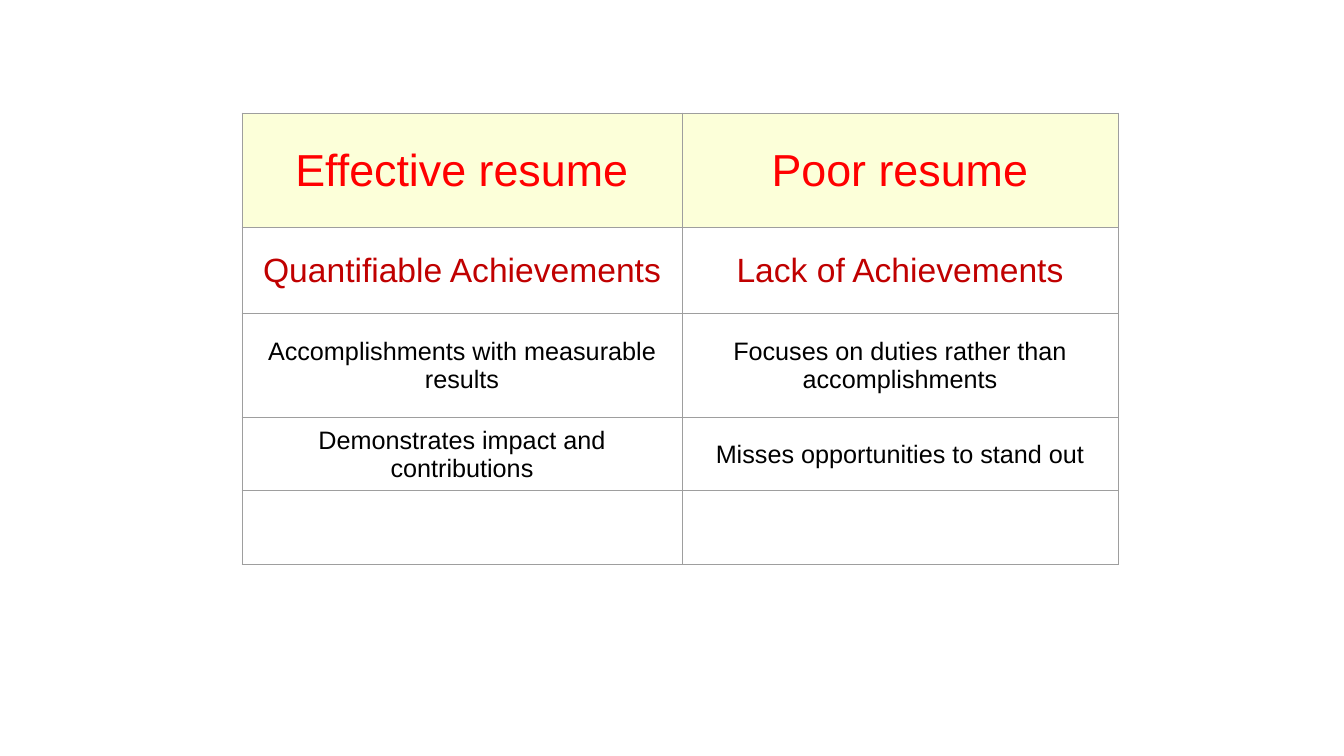
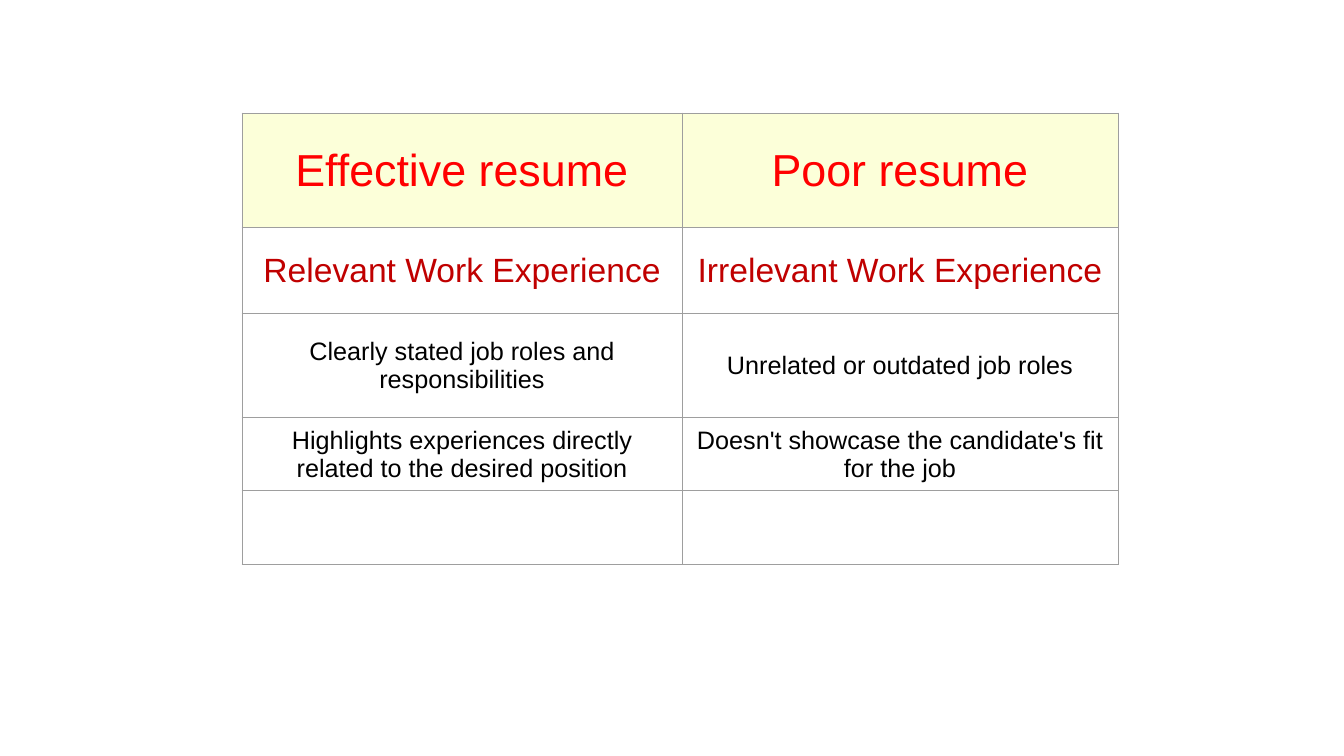
from dataclasses import dataclass

from lxml.etree import SubElement
from pptx import Presentation
from pptx.dml.color import RGBColor as Rgb
from pptx.enum.text import MSO_VERTICAL_ANCHOR as Anchor, PP_PARAGRAPH_ALIGNMENT as Align
from pptx.oxml.ns import qn
from pptx.util import Pt

SLIDE_PX = (1344, 756)
EMU_PER_PX = 12192000 / SLIDE_PX[0]


@dataclass(frozen=True)
class Theme:
    font: str = "Arial"
    heading: Rgb = Rgb(0xFF, 0x00, 0x00)
    topic: Rgb = Rgb(0xC0, 0x00, 0x00)
    body: Rgb = Rgb(0x00, 0x00, 0x00)
    heading_fill: Rgb = Rgb(0xFC, 0xFF, 0xD9)
    grid: str = "9E9E9E"
    grid_pt: float = 0.75
    heading_pt: int = 32
    topic_pt: int = 24
    body_pt: int = 18


THEME = Theme()

# Table layout: left, top, then column widths and row heights
COMPARISON_AT = (242, 113)
COLUMNS = (440, 436)
ROWS = (115, 86, 104, 73, 74)

# Text style of each row, from the heading down
BODY = (THEME.body_pt, THEME.body)
ROW_STYLES = (
    (THEME.heading_pt, THEME.heading),
    (THEME.topic_pt, THEME.topic),
    BODY, BODY, BODY,
)
TABLE_FORMAT = {"first_row": False, "horz_banding": False}
CELL_FORMAT = {"vertical_anchor": Anchor.MIDDLE}

HEADINGS = ("Effective resume", "Poor resume")
BLANK_ROW = ("", "")
COMPARISONS = (
    (
        ("Quantifiable Achievements", "Lack of Achievements"),
        ("Accomplishments with measurable results",
         "Focuses on duties rather than accomplishments"),
        ("Demonstrates impact and contributions",
         "Misses opportunities to stand out"),
    ),
    (
        ("Relevant Work Experience", "Irrelevant Work Experience"),
        ("Clearly stated job roles and responsibilities",
         "Unrelated or outdated job roles"),
        ("Highlights experiences directly related to the desired position",
         "Doesn't showcase the candidate's fit for the job"),
    ),
)


def px(length):
    return round(length * EMU_PER_PX)


def apply(target, formats):
    for attribute, value in formats.items():
        setattr(target, attribute, value)


def add_borders(cell):
    """Draw the grid line on all four sides; call before setting the fill."""
    properties = cell._tc.get_or_add_tcPr()
    for side in ("lnL", "lnR", "lnT", "lnB"):
        line = SubElement(properties, qn(f"a:{side}"), w=str(Pt(THEME.grid_pt)))
        SubElement(SubElement(line, qn("a:solidFill")), qn("a:srgbClr"), val=THEME.grid)


def fill_cell(cell, text, size, color, fill=None):
    apply(cell, CELL_FORMAT)
    add_borders(cell)
    if fill is None:
        cell.fill.background()
    else:
        cell.fill.solid()
        cell.fill.fore_color.rgb = fill
    wording = cell.text_frame.paragraphs[0]
    wording.alignment = Align.CENTER
    if text:
        wording.text = text
    apply(wording.font, {"name": THEME.font, "size": Pt(size)})
    wording.font.color.rgb = color


def add_comparison(slide, left, top, widths, heights, rows):
    """Two-column table with a tinted heading row."""
    box = map(px, (left, top, sum(widths), sum(heights)))
    table = slide.shapes.add_table(len(heights), len(widths), *box).table
    apply(table, TABLE_FORMAT)
    for column, width in zip(table.columns, widths):
        column.width = px(width)
    for row, height in zip(table.rows, heights):
        row.height = px(height)
    for r, (texts, style) in enumerate(zip(rows, ROW_STYLES)):
        fill = THEME.heading_fill if r == 0 else None
        for c, text in enumerate(texts):
            fill_cell(table.cell(r, c), text, *style, fill)


def main():
    deck = Presentation()
    deck.slide_width, deck.slide_height = map(px, SLIDE_PX)
    blank = deck.slide_layouts[6]
    for points in COMPARISONS:
        slide = deck.slides.add_slide(blank)
        add_comparison(slide, *COMPARISON_AT, COLUMNS, ROWS,
                       (HEADINGS, *points, BLANK_ROW))
    deck.save("out.pptx")


if __name__ == "__main__":
    main()
